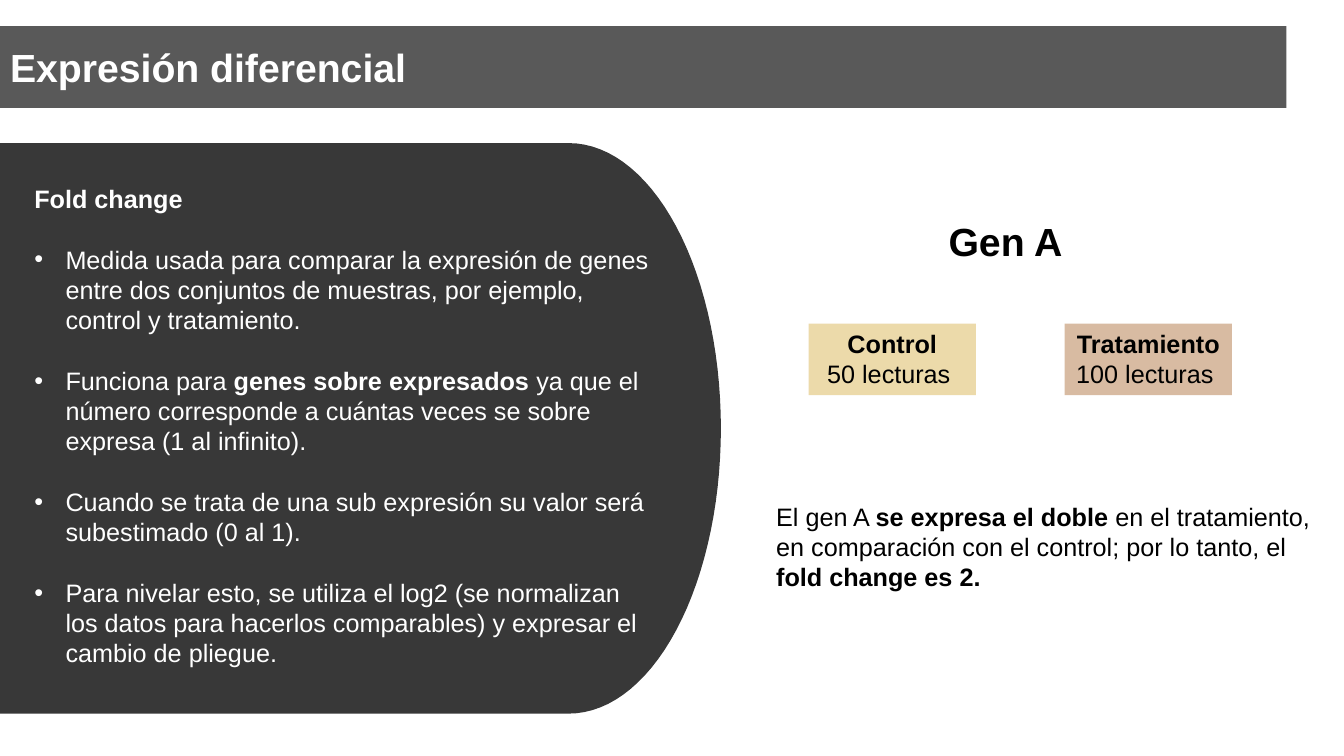
from dataclasses import dataclass
from math import cos, pi, sin

from lxml.etree import SubElement
from pptx import Presentation
from pptx.dml.color import RGBColor as RGB
from pptx.enum.shapes import MSO_SHAPE as SHAPE
from pptx.enum.text import MSO_ANCHOR as ANCHOR, MSO_AUTO_SIZE as AUTO, PP_ALIGN as ALIGN
from pptx.oxml.ns import qn
from pptx.util import Inches, Pt


@dataclass(frozen=True)
class Theme:
    """Colours, font and type sizes of the slide."""
    font: str = "Arial"
    heading: float = 28
    body: float = 18
    gap: float = 21.7
    dark: str = "000000"
    light: str = "FFFFFF"
    bar: str = "595959"
    control: str = "ECDAAA"
    treatment: str = "D8BBA2"
    panel_alpha: int = 78


@dataclass(frozen=True)
class Sample:
    """A group of reads shown as a coloured card."""
    name: str
    reads: str
    color: str


THEME = Theme()
SAMPLES = (
    Sample("Control", "50 lecturas ", THEME.control),
    Sample("Tratamiento", "100 lecturas ", THEME.treatment),
)
POINTS = (
    "**Fold change**",
    "Medida usada para comparar la expresión de genes entre dos conjuntos de muestras, "
    "por ejemplo, control y tratamiento.",
    "Funciona para **genes sobre expresados **ya que el número corresponde a cuántas veces "
    "se sobre expresa (1 al infinito).",
    "Cuando se trata de una sub expresión su valor será subestimado (0 al 1).",
    "Para nivelar esto, se utiliza el log2 (se normalizan los datos para hacerlos comparables) "
    "y expresar el cambio de pliegue.",
)
CONCLUSION = (
    "El gen A **se expresa el doble **en el tratamiento, en comparación con el control; "
    "por lo tanto, el **fold change es 2.**"
)


def place(sp, left: float, top: float, width: float, height: float) -> None:
    """Set the position and size of a shape in inches."""
    sp.left, sp.top, sp.width, sp.height = map(Inches, (left, top, width, height))


def paint(sp, color: str) -> None:
    """Give a shape a plain fill without outline."""
    sp.fill.solid()
    sp.fill.fore_color.rgb = RGB.from_string(color)
    sp.line.fill.background()


def set_bullet(p, shown: bool, indent: float = 0.31) -> None:
    """Show a hanging bullet on a paragraph, or remove it."""
    pPr = p._p.get_or_add_pPr()
    hang = Inches(indent) if shown else 0
    pPr.set("marL", str(hang))
    pPr.set("indent", str(-hang))
    if shown:
        SubElement(pPr, qn("a:buFont"), typeface=THEME.font)
        SubElement(pPr, qn("a:buChar"), char="•")
    else:
        SubElement(pPr, qn("a:buNone"))


def write(tf, *texts: str, size: float = THEME.body, color: str = THEME.dark,
          align=ALIGN.LEFT, anchor=ANCHOR.TOP, wrap: bool = True,
          gap: float = 0, bullets: bool = False) -> None:
    """Write one paragraph per text, with ** marking bold passages."""
    tf.word_wrap, tf.auto_size, tf.vertical_anchor = wrap, AUTO.NONE, anchor
    for i, text in enumerate(texts):
        p = tf.paragraphs[0] if i == 0 else tf.add_paragraph()
        set_bullet(p, bullets and i > 0)
        p.alignment = align
        p.space_before = Pt(gap if i else 0)
        for j, part in enumerate(text.split("**")):
            if part:
                r = p.add_run()
                r.text = part
                r.font.name, r.font.size, r.font.bold = THEME.font, Pt(size), j % 2 == 1
                r.font.color.rgb = RGB.from_string(color)


def add_panel(s, top: float = 1.42, bottom: float = 7.08,
              straight: float = 5.64, right: float = 7.15, steps: int = 60):
    """Draw the translucent panel that ends in half an ellipse."""
    mid, rx, ry = (top + bottom) / 2, right - straight, (bottom - top) / 2
    angles = [pi * (k / steps - 0.5) for k in range(steps + 1)]
    arc = [(Inches(straight + rx * cos(a)), Inches(mid + ry * sin(a))) for a in angles]
    fb = s.shapes.build_freeform(0, Inches(top))
    fb.add_line_segments([*arc, (0, Inches(bottom))], close=True)
    sp = fb.convert_to_shape()
    sp.shadow.inherit = False
    paint(sp, THEME.dark)
    SubElement(sp.element.find(".//" + qn("a:srgbClr")), qn("a:alpha"),
               val=str(THEME.panel_alpha * 1000))
    return sp


def add_text(s, box: tuple[float, float, float, float], text: str, **fmt) -> None:
    """Add a text box with formatted text."""
    write(s.shapes.add_textbox(*map(Inches, box)).text_frame, text, **fmt)


def add_sample(s, sample: Sample, left: float) -> None:
    """Add the card of one sample."""
    sp = s.shapes.add_shape(SHAPE.RECTANGLE, *map(Inches, (left, 3.21, 1.66, 0.71)))
    sp.shadow.inherit = False
    paint(sp, sample.color)
    write(sp.text_frame, f"**{sample.name}**", sample.reads, align=ALIGN.CENTER)


def main() -> None:
    """Build and save the slide."""
    prs = Presentation()
    prs.slide_width, prs.slide_height = Inches(13.33), Inches(7.5)
    s = prs.slides.add_slide(prs.slide_layouts[1])
    title, body = s.placeholders
    title.element.addprevious(add_panel(s).element)

    place(title, 0, 0.26, 12.76, 0.81)
    paint(title, THEME.bar)
    write(title.text_frame, "**Expresión diferencial**", size=THEME.heading,
          color=THEME.light, anchor=ANCHOR.MIDDLE)
    place(body, 0.24, 1.77, 6.31, 4.95)
    write(body.text_frame, *POINTS, color=THEME.light, gap=THEME.gap, bullets=True)

    add_text(s, (7.6, 4.92, 5.58, 1.01), CONCLUSION)
    for i, sample in enumerate(SAMPLES):
        add_sample(s, sample, 8.02 + 2.54 * i)
    add_text(s, (9.31, 2.11, 1.34, 0.57), "**Gen A**", size=THEME.heading, wrap=False)
    prs.save("out.pptx")


if __name__ == "__main__":
    main()
